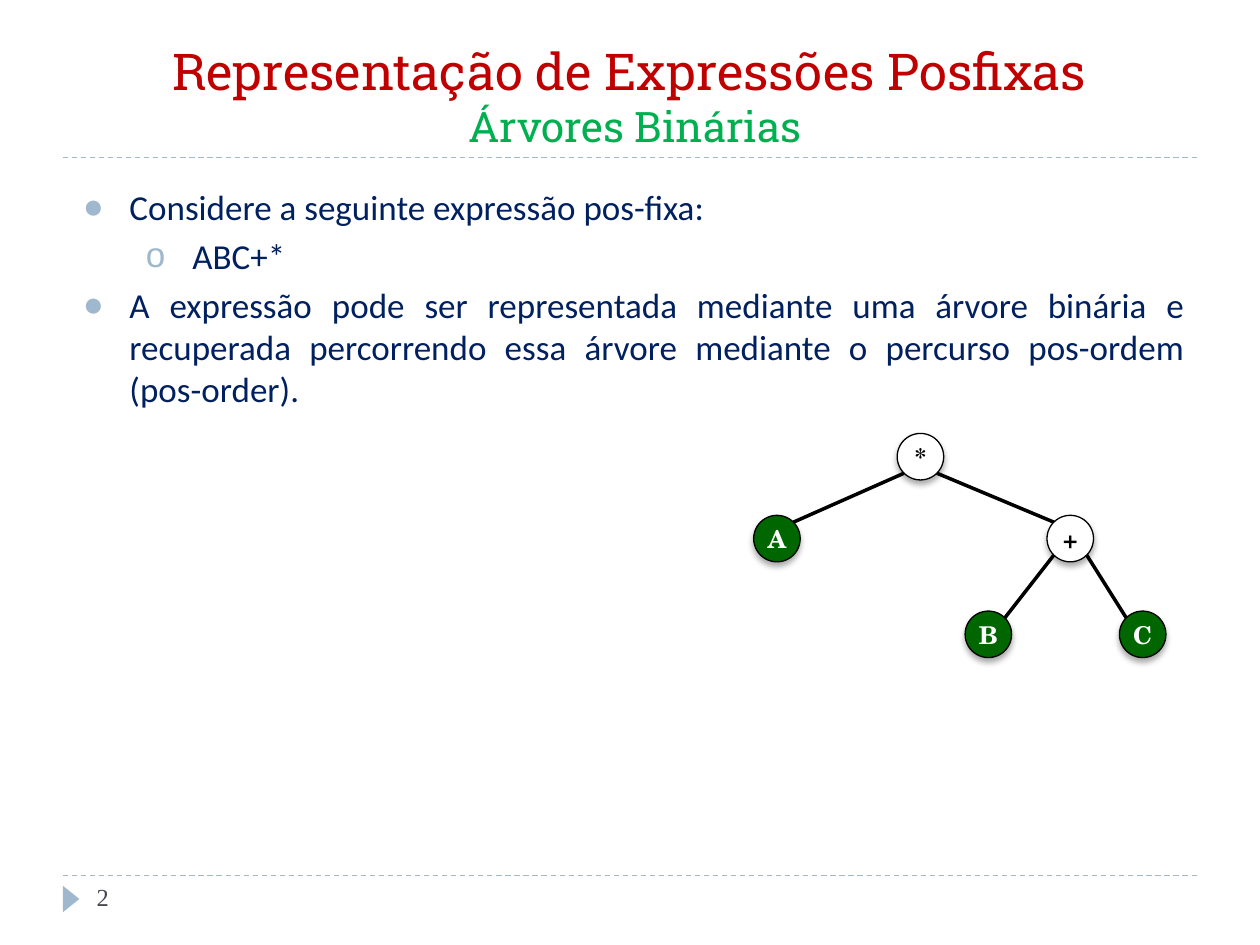
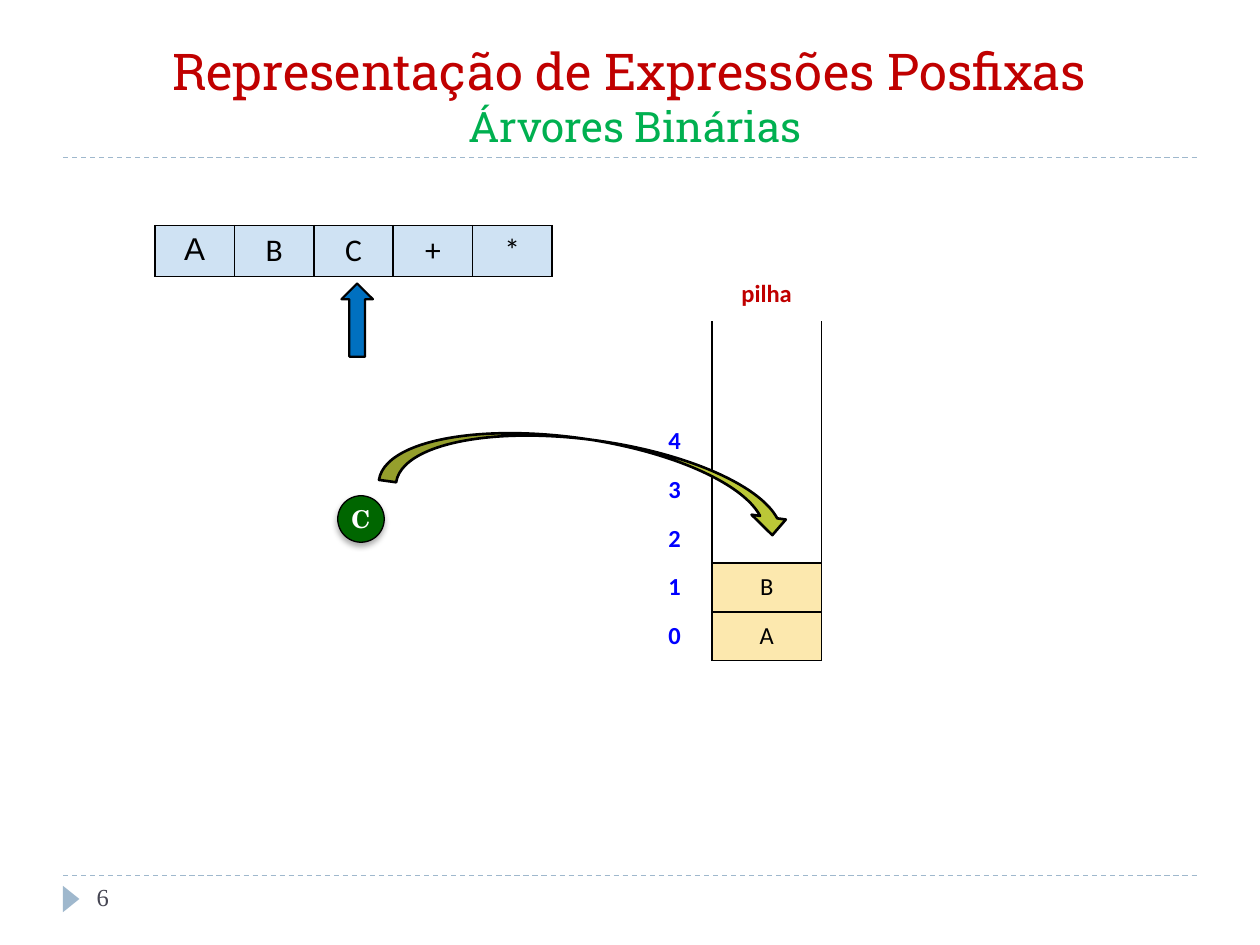
"""Build two slides on postfix expressions, binary trees and a stack."""
from dataclasses import dataclass

from lxml import etree
from pptx import Presentation
from pptx import util as u
from pptx.dml.color import RGBColor
from pptx.enum import dml, shapes, text
from pptx.oxml import parse_xml
from pptx.oxml.ns import nsdecls, qn


@dataclass(frozen=True)
class Theme:
    """Colours and text styles (size, font, colour, bold)."""
    accent: str = "9FB8CD"
    black: str = "000000"
    white: str = "FFFFFF"
    leaf: str = "006600"
    letter_fill: str = "CFE2F3"
    item_fill: str = "FCE8AE"
    pointer: str = "0070C0"
    push: str = "BBC737"
    title: tuple = (29, "Roboto Slab", "C00000", False)
    subtitle: tuple = (24, "Roboto Slab", "00B050", False)
    number: tuple = (14, "Times New Roman", "464653", False)
    body: tuple = (20, "Calibri", "002060", False)
    operand: tuple = (14, "TeX Gyre Schola", "FFFFFF", True)
    operator: tuple = (14, "TeX Gyre Schola", "000000", True)
    heading: tuple = (14, "Calibri", "C00000", True)
    index: tuple = (14, "Calibri", "0000FF", True)
    item: tuple = (14, "Calibri", "000000", False)
    letter: tuple = (18, "Calibri", "000000", False)
    first_letter: tuple = (18, "Arial", "000000", False)


theme = Theme()
node_size = 26.6


def write(para, words, style):
    """Add one styled run to a paragraph."""
    span = para.add_run()
    span.text = words
    size, span.font.name, colour, span.font.bold = style
    span.font.size = u.Pt(size)
    span.font.color.rgb = RGBColor.from_string(colour)


def add_node(page, label, x, y):
    """Draw a tree node centred on a point."""
    leaf = label.isalpha()
    node = page.shapes.add_shape(
        shapes.MSO_SHAPE.OVAL, u.Pt(x - node_size / 2), u.Pt(y - node_size / 2),
        u.Pt(node_size), u.Pt(node_size))
    node.fill.solid()
    node.fill.fore_color.rgb = RGBColor.from_string(theme.leaf if leaf else theme.white)
    node.line.color.rgb = RGBColor.from_string(theme.black)
    node.line.width = u.Pt(0.75)
    node._element.spPr.append(parse_xml(
        f'<a:effectLst {nsdecls("a")}><a:outerShdw blurRad="{u.Pt(3.5)}" '
        f'dist="{u.Pt(2.2)}" dir="5400000" rotWithShape="0"><a:srgbClr val="{theme.black}">'
        '<a:alpha val="32000"/></a:srgbClr></a:outerShdw></a:effectLst>'))
    frame = node.text_frame
    frame.margin_left = frame.margin_right = frame.margin_top = frame.margin_bottom = 0
    frame.vertical_anchor = text.MSO_ANCHOR.MIDDLE
    frame.paragraphs[0].alignment = text.PP_ALIGN.CENTER
    write(frame.paragraphs[0], label, theme.operand if leaf else theme.operator)


deck = Presentation()
deck.slide_width, deck.slide_height = u.Pt(720), u.Pt(540)

tree = {"*": (526, 261), "A": (444, 307.8), "+": (611.6, 307.8),
        "B": (564.8, 362.5), "C": (653, 362.5)}
reach = node_size / 2 * 0.707
edges = []
for parent, child in ("*A", "*+", "+B", "+C"):
    (px, py), (cx, cy) = tree[parent], tree[child]
    side = reach if cx > px else -reach
    edges.append((px + side, py + reach, cx - side, cy - reach, theme.black, 2, None))

dash = dml.MSO_LINE.DASH
rules = [(36, y, 684, y, theme.accent, 0.75, dash) for y in (500.4, 90)]

for number, lines in (("2", rules + edges), ("6", rules)):
    page = deck.slides.add_slide(deck.slide_layouts[6])
    for x1, y1, x2, y2, colour, width, pattern in lines:
        line = page.shapes.add_connector(
            shapes.MSO_CONNECTOR.STRAIGHT, u.Pt(x1), u.Pt(y1), u.Pt(x2), u.Pt(y2))
        line.line.color.rgb = RGBColor.from_string(colour)
        line.line.width = u.Pt(width)
        line.line.dash_style = pattern
        etree.SubElement(line._element.spPr, qn("a:effectLst"))

    marker = page.shapes.add_shape(
        shapes.MSO_SHAPE.ISOSCELES_TRIANGLE, u.Pt(33.1), u.Pt(509), u.Pt(15.1), u.Pt(9.4))
    marker.rotation = 90
    marker.shadow.inherit = False
    marker.fill.solid()
    marker.fill.fore_color.rgb = RGBColor.from_string(theme.accent)
    marker.line.fill.background()

    title = page.shapes.add_textbox(u.Pt(36), u.Pt(18), u.Pt(648), u.Pt(72)).text_frame
    title.word_wrap = True
    title.vertical_anchor = text.MSO_ANCHOR.BOTTOM
    para = title.paragraphs[0]
    para.alignment = text.PP_ALIGN.CENTER
    write(para, "Representação de Expressões Posfixas", theme.title)
    para.add_line_break()
    write(para, " Árvores Binárias", theme.subtitle)

    box = page.shapes.add_textbox(u.Pt(48.2), u.Pt(500.4), u.Pt(156), u.Pt(28.8))
    box.text_frame.word_wrap = True
    write(box.text_frame.paragraphs[0], number, theme.number)

tree_page, stack_page = deck.slides

body = tree_page.shapes.add_textbox(u.Pt(40.3), u.Pt(102.2), u.Pt(643.7), u.Pt(145.4)).text_frame
body.word_wrap = True
bullets = [
    (0, "Considere a seguinte expressão pos-fixa:"),
    (1, "ABC+*"),
    (0, "A expressão pode ser representada mediante uma árvore binária e recuperada "
        "percorrendo essa árvore mediante o percurso pos-ordem (pos-order)."),
]
for position, (level, words) in enumerate(bullets):
    para = body.add_paragraph() if position else body.paragraphs[0]
    para.level = level
    para.alignment = text.PP_ALIGN.JUSTIFY
    para.space_before = u.Pt(4 if position else 0)
    props = para._p.get_or_add_pPr()
    props.set("marL", str(u.Pt(26.6 + 36 * level)))
    props.set("indent", str(u.Pt(-26.6)))
    colour = etree.SubElement(props, qn("a:buClr"))
    etree.SubElement(colour, qn("a:srgbClr"), val=theme.accent)
    etree.SubElement(props, qn("a:buFont"), typeface="Arial")
    etree.SubElement(props, qn("a:buChar"), char="●o"[level])
    write(para, words, theme.body)

for label, (x, y) in tree.items():
    add_node(tree_page, label, x, y)

blank = ("", theme.item, theme.white, "")
wall = ("", theme.item, theme.white, "LR")
stack = [[blank, blank], [blank, ("pilha", theme.heading, theme.white, "")]]
stack += [[("", theme.index, theme.white, "R"), wall] for _ in range(2)]
for index, item in zip("43210", ("", "", "", "B", "A")):
    content = (item, theme.item, theme.item_fill, "LRTB") if item else wall
    stack.append([(index, theme.index, theme.white, "R"), content])
stack[6][1] = ("", theme.item, theme.white, "LRB")
sequence = [[(letter, theme.first_letter if letter == "A" else theme.letter,
              theme.letter_fill, "LRTB") for letter in "ABC+*"]]

tables = [(364.3, [42.5, 62.6], [27.3] * 4 + [27.9] * 5, stack),
          (88.6, [45.36] * 5, [29.2], sequence)]
for left, widths, heights, grid in tables:
    table = stack_page.shapes.add_table(
        len(heights), len(widths), u.Pt(left), u.Pt(128.9),
        u.Pt(sum(widths)), u.Pt(sum(heights))).table
    table.first_row = table.horz_banding = False
    for column, width in zip(table.columns, widths):
        column.width = u.Pt(width)
    for row, height, contents in zip(table.rows, heights, grid):
        row.height = u.Pt(height)
        for cell, (words, style, fill, sides) in zip(row.cells, contents):
            cell.margin_top = cell.margin_bottom = u.Pt(3.6 if words else 0)
            centred = style in (theme.index, theme.item)
            cell.vertical_anchor = text.MSO_ANCHOR.MIDDLE if centred else text.MSO_ANCHOR.TOP
            props = cell._tc.get_or_add_tcPr()
            for side in "LRTB":
                border = etree.SubElement(props, qn(f"a:ln{side}"), w=str(u.Pt(1)))
                if side in sides:
                    paint = etree.SubElement(border, qn("a:solidFill"))
                    etree.SubElement(paint, qn("a:srgbClr"), val=theme.black)
                else:
                    etree.SubElement(border, qn("a:noFill"))
            cell.fill.solid()
            cell.fill.fore_color.rgb = RGBColor.from_string(fill)
            if words:
                para = cell.text_frame.paragraphs[0]
                para.alignment = text.PP_ALIGN.CENTER
                write(para, words, style)

add_node(stack_page, "C", 206.3, 296.6)

arrows = [
    (shapes.MSO_SHAPE.UP_ARROW, 195.1, 162, 18, 41.8, 0, theme.pointer, 1.25),
    (shapes.MSO_SHAPE.CURVED_DOWN_ARROW, 218.2, 251.3, 236.9, 39.6, 8, theme.push, 1.5),
]
for kind, left, top, width, height, turn, colour, weight in arrows:
    arrow = stack_page.shapes.add_shape(
        kind, u.Pt(left), u.Pt(top), u.Pt(width), u.Pt(height))
    arrow.rotation = turn
    arrow.shadow.inherit = False
    arrow.fill.solid()
    arrow.fill.fore_color.rgb = RGBColor.from_string(colour)
    arrow.line.color.rgb = RGBColor.from_string(theme.black)
    arrow.line.width = u.Pt(weight)

deck.save("out.pptx")
